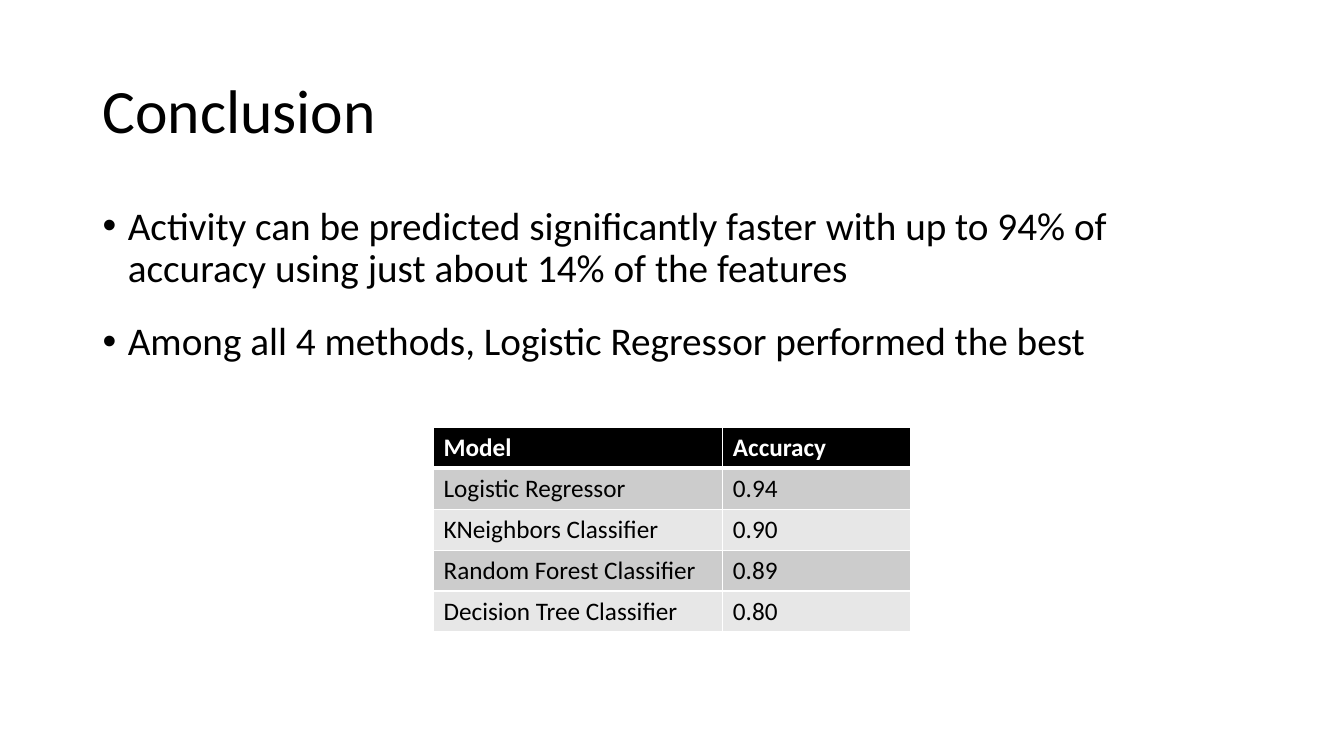
from lxml import etree
from pptx import Presentation
from pptx.dml.color import RGBColor
from pptx.enum.text import MSO_ANCHOR
from pptx.oxml.ns import qn
from pptx.util import Pt

TOP, MIDDLE = MSO_ANCHOR.TOP, MSO_ANCHOR.MIDDLE
BLACK = RGBColor(0x00, 0x00, 0x00)
WHITE = RGBColor(0xFF, 0xFF, 0xFF)
DARK_BAND = RGBColor(0xCC, 0xCC, 0xCC)
LIGHT_BAND = RGBColor(0xE7, 0xE7, 0xE7)
PX = 9144

POINTS = [
    ("Activity can be predicted significantly faster with up to 94% of "
     "accuracy using just about 14% of the features", 12),
    ("Among all 4 methods, Logistic Regressor performed the best", 0),
]
RESULTS = [
    ("Model", "Accuracy"),
    ("Logistic Regressor", "0.94"),
    ("KNeighbors Classifier", "0.90"),
    ("Random Forest Classifier", "0.89"),
    ("Decision Tree Classifier", "0.80"),
]


def write(p, text, size=18, color=BLACK, bold=False, font="Calibri",
          line=None, before=0, after=0):
    """Write text into a paragraph with the given format."""
    p.line_spacing = line
    p.space_before, p.space_after = Pt(before), Pt(after)
    r = p.add_run()
    r.text = text
    r.font.name, r.font.size, r.font.bold = font, Pt(size), bold
    r.font.color.rgb = color


class Deck:
    """Hold the current slide and draw its elements in px."""

    def __init__(self, prs):
        self.s = prs.slides.add_slide(prs.slide_layouts[6])

    def text_box(self, box, anchor=TOP):
        """Add a wrapping text box and return its text frame."""
        tf = self.s.shapes.add_textbox(*(v * PX for v in box)).text_frame
        tf.word_wrap = True
        tf.vertical_anchor = anchor
        return tf

    def title(self, text, box):
        """Add the slide title."""
        tf = self.text_box(box, MIDDLE)
        write(tf.paragraphs[0], text, size=44, line=0.9)

    def bullets(self, points, box, indent):
        """Add a bulleted list of (text, space after) pairs."""
        tf = self.text_box(box)
        for i, (text, after) in enumerate(points):
            p = tf.add_paragraph() if i else tf.paragraphs[0]
            write(p, text, size=28, line=0.9, before=10, after=after)
            pPr = p._p.get_or_add_pPr()
            pPr.set("marL", str(indent * PX))
            pPr.set("indent", str(-indent * PX))
            etree.SubElement(pPr, qn("a:buFont"), typeface="Arial")
            etree.SubElement(pPr, qn("a:buChar"), char="•")

    def borders(self, cell, **widths):
        """Draw white cell borders, with widths in points by side."""
        tcPr = cell._tc.get_or_add_tcPr()
        for side in "LRTB":
            ln = etree.SubElement(tcPr, qn(f"a:ln{side}"),
                                  w=str(Pt(widths.get(side, 1))))
            fill = etree.SubElement(ln, qn("a:solidFill"))
            etree.SubElement(fill, qn("a:srgbClr"), val=str(WHITE))

    def table(self, rows, box, widths):
        """Add a banded table with a black header row."""
        shape = self.s.shapes.add_table(len(rows), len(widths),
                                        *(v * PX for v in box))
        table = shape.table
        for column, width in zip(table.columns, widths):
            column.width = width * PX
        for i, row in enumerate(rows):
            header = i == 0
            band = DARK_BAND if i % 2 else LIGHT_BAND
            for j, text in enumerate(row):
                cell = table.cell(i, j)
                self.borders(cell, T=3 if i == 1 else 1, B=3 if header else 1)
                cell.fill.solid()
                cell.fill.fore_color.rgb = BLACK if header else band
                write(cell.text_frame.paragraphs[0], text, bold=header,
                      color=WHITE if header else BLACK)


def main():
    """Build the conclusion slide."""
    prs = Presentation()
    prs.slide_width, prs.slide_height = 1333 * PX, 750 * PX
    deck = Deck(prs)
    deck.title("Conclusion", (92, 40, 1150, 145))
    deck.bullets(POINTS, (92, 200, 1150, 476), indent=25)
    deck.table(RESULTS, (430, 424, 473, 203), (287, 186))
    prs.save("out.pptx")


if __name__ == "__main__":
    main()
